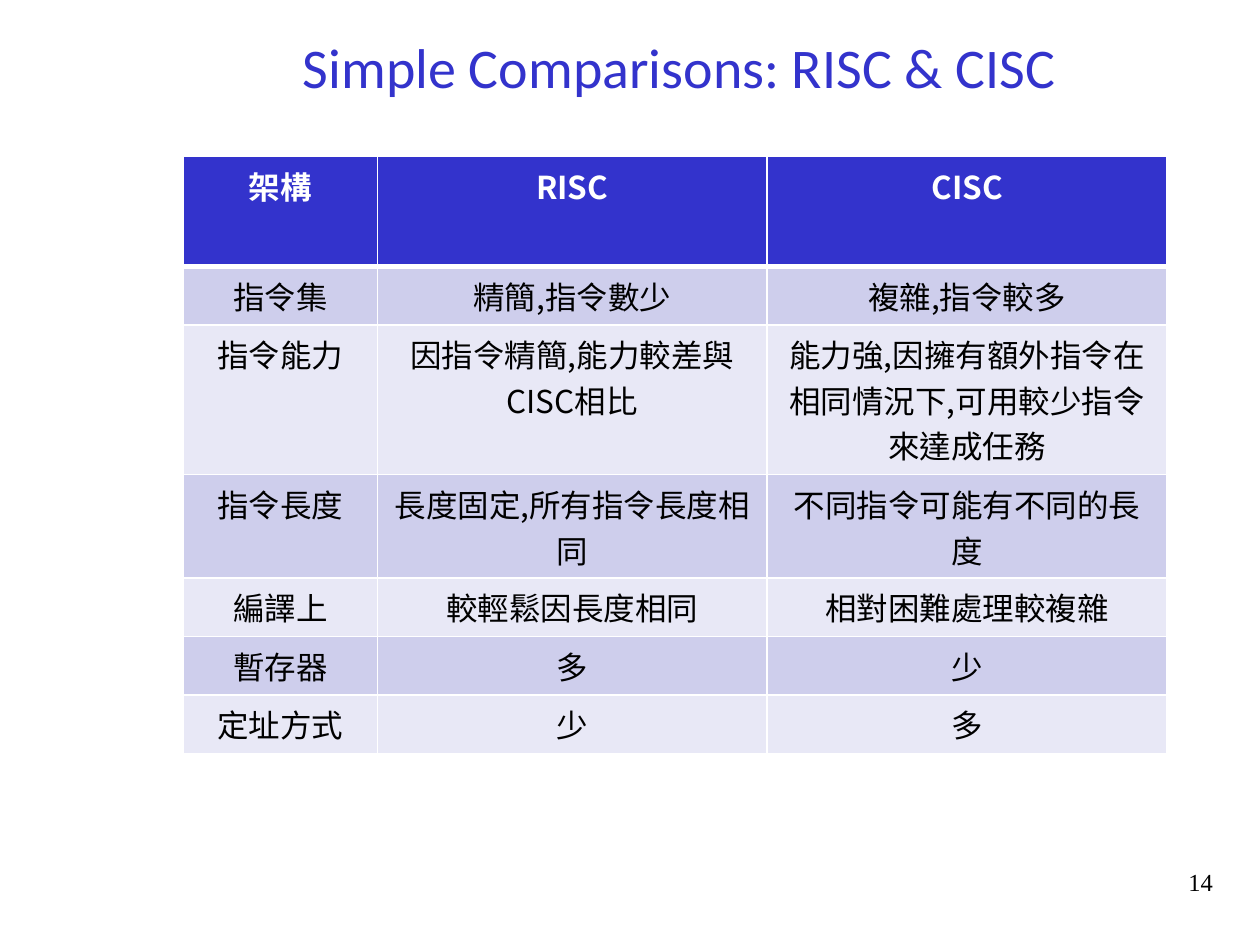
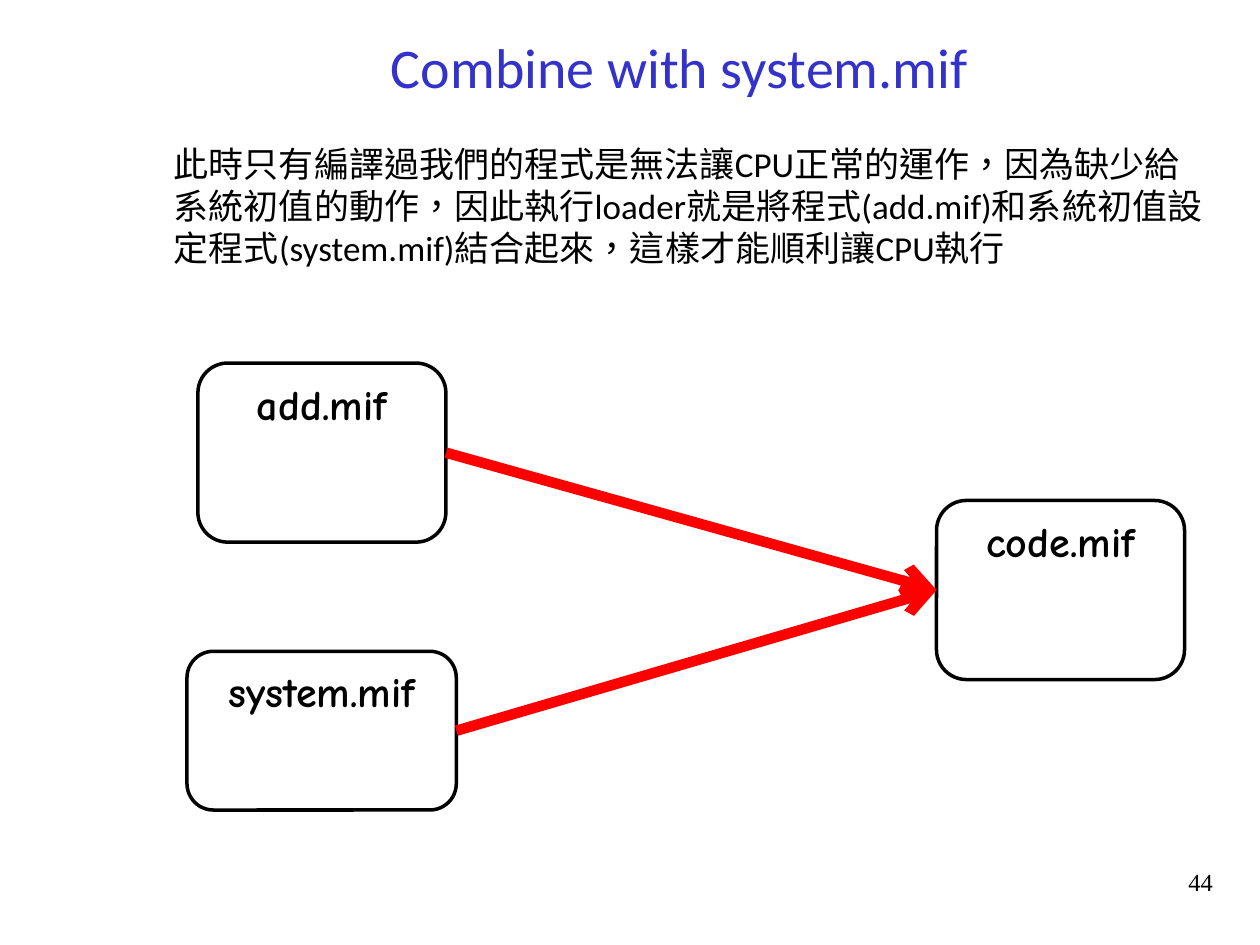
import pptx
import pptx.util
import pptx.dml.color
import pptx.enum.shapes
import pptx.enum.text
import pptx.oxml
import pptx.oxml.ns
from pptx.util import Cm, Pt

COLORS = {
    "title": "3333CC",
    "text": "000000",
    "paper": "FFFFFF",
    "band_dark": "CECEEC",
    "band_light": "E8E8F6",
    "arrow": "FF0000",
}
RGB = {name: pptx.dml.color.RGBColor.from_string(value) for name, value in COLORS.items()}
CJK_FONT = "Noto Sans CJK SC"
ALIGN = pptx.enum.text.PP_ALIGN
TOP = pptx.enum.text.MSO_ANCHOR.TOP
NSDECLS = pptx.oxml.ns.nsdecls("a")


def add_run(paragraph, text, size, font, color="text", bold=False, align=ALIGN.CENTER):
    """Add a run whose Chinese characters use the shared CJK font."""
    paragraph.alignment = align
    run = paragraph.add_run()
    run.text = text
    run.font.size = Pt(size)
    run.font.bold = bold
    run.font.name = font
    run.font.color.rgb = RGB[color]
    properties = run._r.get_or_add_rPr()
    properties.set("lang", "zh-TW")
    properties.append(pptx.oxml.parse_xml(f'<a:ea {NSDECLS} typeface="{CJK_FONT}"/>'))


def start_slide(layout_index, title, page):
    slide = deck.slides.add_slide(deck.slide_layouts[layout_index])
    heading = slide.shapes.title
    heading.left, heading.top, heading.width, heading.height = Cm(2.7), Cm(0.53), Cm(22), Cm(2)
    heading.text_frame.auto_size = pptx.enum.text.MSO_AUTO_SIZE.NONE
    heading.text_frame.vertical_anchor = TOP
    add_run(heading.text_frame.paragraphs[0], title, 32, "Calibri", "title")
    page_number = slide.shapes.add_textbox(Cm(18.78), Cm(17.35), Cm(5.92), Cm(1.32))
    page_number.text_frame.word_wrap = True
    add_run(page_number.text_frame.paragraphs[0], page, 14, "Times New Roman",
            align=ALIGN.RIGHT)
    return slide


deck = pptx.Presentation()
deck.slide_width, deck.slide_height = Cm(25.4), Cm(19.05)

# Comparison table
comparison = [
    ("架構", "RISC", "CISC"),
    ("指令集", "精簡,指令數少", "複雜,指令較多"),
    ("指令能力", "因指令精簡,能力較差與CISC相比", "能力強,因擁有額外指令在相同情況下,可用較少指令來達成任務"),
    ("指令長度", "長度固定,所有指令長度相同", "不同指令可能有不同的長度"),
    ("編譯上", "較輕鬆因長度相同", "相對困難處理較複雜"),
    ("暫存器", "多", "少"),
    ("定址方式", "少", "多"),
]
column_widths = [3.92, 7.85, 8.07]
row_heights = [2.22, 1.18, 3.02, 2.08, 1.18, 1.18, 1.18]

slide = start_slide(5, "Simple Comparisons: RISC & CISC", "14")
table = slide.shapes.add_table(
    len(comparison), len(column_widths), Cm(3.69), Cm(3.15),
    Cm(sum(column_widths)), Cm(sum(row_heights))).table
for column, width in zip(table.columns, column_widths):
    column.width = Cm(width)
for row_index, (labels, height) in enumerate(zip(comparison, row_heights)):
    table.rows[row_index].height = Cm(height)
    is_header = row_index == 0
    band = "title" if is_header else ("band_light", "band_dark")[row_index % 2]
    for column_index, label in enumerate(labels):
        cell = table.cell(row_index, column_index)
        cell.fill.solid()
        cell.fill.fore_color.rgb = RGB[band]
        add_run(cell.text_frame.paragraphs[0], label, 18, CJK_FONT,
                "paper" if is_header else "text", bold=is_header)
        for position, side in enumerate("LRTB"):
            thick = (is_header and side == "B") or (row_index == 1 and side == "T")
            border = pptx.oxml.parse_xml(
                f'<a:ln{side} {NSDECLS} w="{Pt(3 if thick else 1)}"><a:solidFill>'
                f'<a:srgbClr val="{COLORS["paper"]}"/></a:solidFill></a:ln{side}>')
            cell._tc.get_or_add_tcPr().insert(position, border)

# Combining the two files
slide = start_slide(1, "Combine with system.mif", "44")
explanation = slide.placeholders[1]
explanation.left, explanation.top = Cm(3.25), Cm(2.75)
explanation.width, explanation.height = Cm(21.41), Cm(2.8)
explanation.text_frame.auto_size = pptx.enum.text.MSO_AUTO_SIZE.NONE
paragraph = explanation.text_frame.paragraphs[0]
paragraph_properties = paragraph._p.get_or_add_pPr()
paragraph_properties.set("marL", "0")
paragraph_properties.set("indent", "0")
paragraph_properties.append(pptx.oxml.parse_xml(f"<a:buNone {NSDECLS}/>"))
paragraph.space_before = Pt(0)
paragraph.line_spacing = Pt(24)
add_run(paragraph,
        "此時只有編譯過我們的程式是無法讓CPU正常的運作，因為缺少給系統初值的動作，"
        "因此執行loader就是將程式(add.mif)和系統初值設定程式(system.mif)結合起來，"
        "這樣才能順利讓CPU執行", 20, "Calibri", align=ALIGN.LEFT)

files = {}
for name, left, top, width, height in [
    ("add.mif", 3.99, 7.32, 5, 3.61),
    ("system.mif", 3.77, 13.13, 5.43, 3.2),
    ("code.mif", 18.88, 10.09, 5, 3.61),
]:
    file_box = slide.shapes.add_shape(
        pptx.enum.shapes.MSO_SHAPE.ROUNDED_RECTANGLE,
        Cm(left), Cm(top), Cm(width), Cm(height))
    file_box.shadow.inherit = False
    file_box.fill.solid()
    file_box.fill.fore_color.rgb = RGB["paper"]
    file_box.line.color.rgb = RGB["text"]
    file_box.line.width = Pt(2)
    file_box.text_frame.vertical_anchor = TOP
    add_run(file_box.text_frame.paragraphs[0], name, 24, "Comic Neue", bold=True)
    files[name] = file_box

LEFT_SITE, RIGHT_SITE = 1, 3
for source in ("add.mif", "system.mif"):
    arrow = slide.shapes.add_connector(pptx.enum.shapes.MSO_CONNECTOR.STRAIGHT, 0, 0, 0, 0)
    arrow.begin_connect(files[source], RIGHT_SITE)
    arrow.end_connect(files["code.mif"], LEFT_SITE)
    arrow.line.color.rgb = RGB["arrow"]
    arrow.line.width = Pt(6)
    arrow.line._get_or_add_ln().append(
        pptx.oxml.parse_xml(f'<a:tailEnd {NSDECLS} type="arrow"/>'))
    arrow._element.spPr.append(pptx.oxml.parse_xml(f"<a:effectLst {NSDECLS}/>"))

deck.save("out.pptx")
